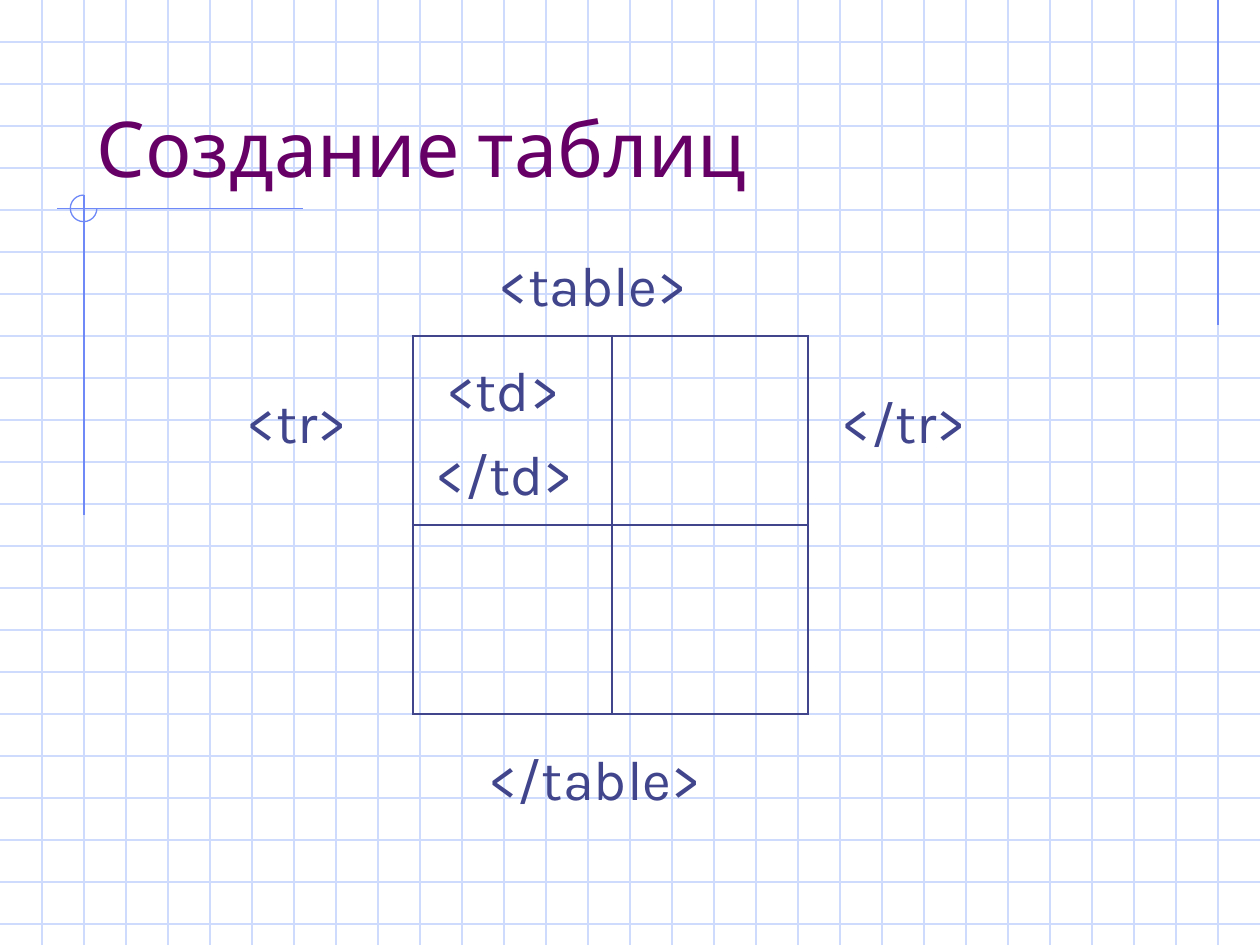
from typing import NamedTuple

from lxml.etree import SubElement
from pptx import Presentation
from pptx.dml.color import RGBColor
from pptx.enum.shapes import MSO_CONNECTOR, MSO_SHAPE
from pptx.enum.text import MSO_ANCHOR, MSO_AUTO_SIZE, PP_ALIGN
from pptx.oxml.ns import qn
from pptx.util import Pt

WIDTH, HEIGHT, GRID_STEP = 720, 540, 24
FONT = "Karla"
GRID, ACCENT, INK, TITLE = "CFDBFD", "6F89F7", "40458C", "660066"


class Rule(NamedTuple):
    x1: float
    y1: float
    x2: float
    y2: float
    color: str


class Tag(NamedTuple):
    text: str
    left: float
    top: float
    width: float


TAGS = [
    Tag("<table>", 278, 144, 144),
    Tag("<tr>", 134, 222.5, 96),
    Tag("<td>", 248, 204, 90),
    Tag("</td>", 242, 252, 102),
    Tag("</tr>", 474, 222.5, 96),
    Tag("</table>", 272, 426, 156),
]


def rgb(color: str) -> RGBColor:
    return RGBColor.from_string(color)


def draw_rule(page, rule: Rule) -> None:
    ends = (Pt(value) for value in rule[:4])
    line = page.shapes.add_connector(MSO_CONNECTOR.STRAIGHT, *ends)
    line.line.color.rgb = rgb(rule.color)
    line.line.width = Pt(0.75)
    SubElement(line._element.spPr, qn("a:effectLst"))


def style_text(para, size: float, color: str) -> None:
    para.alignment = PP_ALIGN.LEFT
    para.font.name = FONT
    para.font.size = Pt(size)
    para.font.color.rgb = rgb(color)


def draw_tag(page, tag: Tag) -> None:
    box = page.shapes.add_textbox(Pt(tag.left), Pt(tag.top), Pt(tag.width), Pt(42))
    frame = box.text_frame
    frame.word_wrap = True
    frame.auto_size = MSO_AUTO_SIZE.SHAPE_TO_FIT_TEXT
    para = frame.paragraphs[0]
    para.text = tag.text
    para.line_spacing = 0.9
    para.space_before = Pt(8)
    style_text(para, 32, INK)


def border_cell(cell, color: str, width: float) -> None:
    properties = cell._tc.get_or_add_tcPr()
    for position, side in enumerate(("lnL", "lnR", "lnT", "lnB")):
        edge = properties.makeelement(qn(f"a:{side}"), {"w": str(Pt(width))})
        fill = SubElement(edge, qn("a:solidFill"))
        SubElement(fill, qn("a:srgbClr"), val=color)
        properties.insert(position, edge)


deck = Presentation()
deck.slide_width, deck.slide_height = Pt(WIDTH), Pt(HEIGHT)
page = deck.slides.add_slide(deck.slide_layouts[5])
page.background.fill.solid()
page.background.fill.fore_color.rgb = rgb("FFFFFF")

# Squared paper
for y in range(GRID_STEP, HEIGHT, GRID_STEP):
    draw_rule(page, Rule(0, y, WIDTH, y, GRID))
for x in range(GRID_STEP, WIDTH, GRID_STEP):
    draw_rule(page, Rule(x, 0, x, HEIGHT, GRID))

# Accent lines and the three-quarter circle where two of them cross
for rule in (
    Rule(696, 0, 696, 186, ACCENT),
    Rule(173, 119.2, 32.5, 119.2, ACCENT),
    Rule(48, 111.5, 48, 294.5, ACCENT),
):
    draw_rule(page, rule)
arc = page.shapes.add_shape(MSO_SHAPE.ARC, Pt(40.2), Pt(111.5), Pt(15.2), Pt(15.2))
arc.adjustments[0] = 0
arc.adjustments[1] = 162  # 270 degrees, in units of 100000/60000 degree
arc.shadow.inherit = False
arc.fill.background()
arc.line.color.rgb = rgb(ACCENT)
arc.line.width = Pt(0.75)

# Title, brought in front of the paper
title = page.shapes.title
page.shapes._spTree.append(title._element)
title.left, title.top, title.width, title.height = Pt(48), Pt(24), Pt(612), Pt(90)
title.text_frame.text = "Создание таблиц"
title.text_frame.vertical_anchor = MSO_ANCHOR.BOTTOM
title.text_frame.auto_size = MSO_AUTO_SIZE.NONE
style_text(title.text_frame.paragraphs[0], 44, TITLE)

# Empty two-by-two table
frame = page.shapes.add_table(2, 2, Pt(236), Pt(192), Pt(226), Pt(216))
table = frame.table
table.first_row = table.horz_banding = False
for column, width in zip(table.columns, (113.75, 112)):
    column.width = Pt(width)
for row in table.rows:
    row.height = Pt(108)
for cell in table.iter_cells():
    cell.fill.background()
    border_cell(cell, INK, 1.47)

# Tags around and inside the table
for tag in TAGS:
    draw_tag(page, tag)

deck.save("out.pptx")
